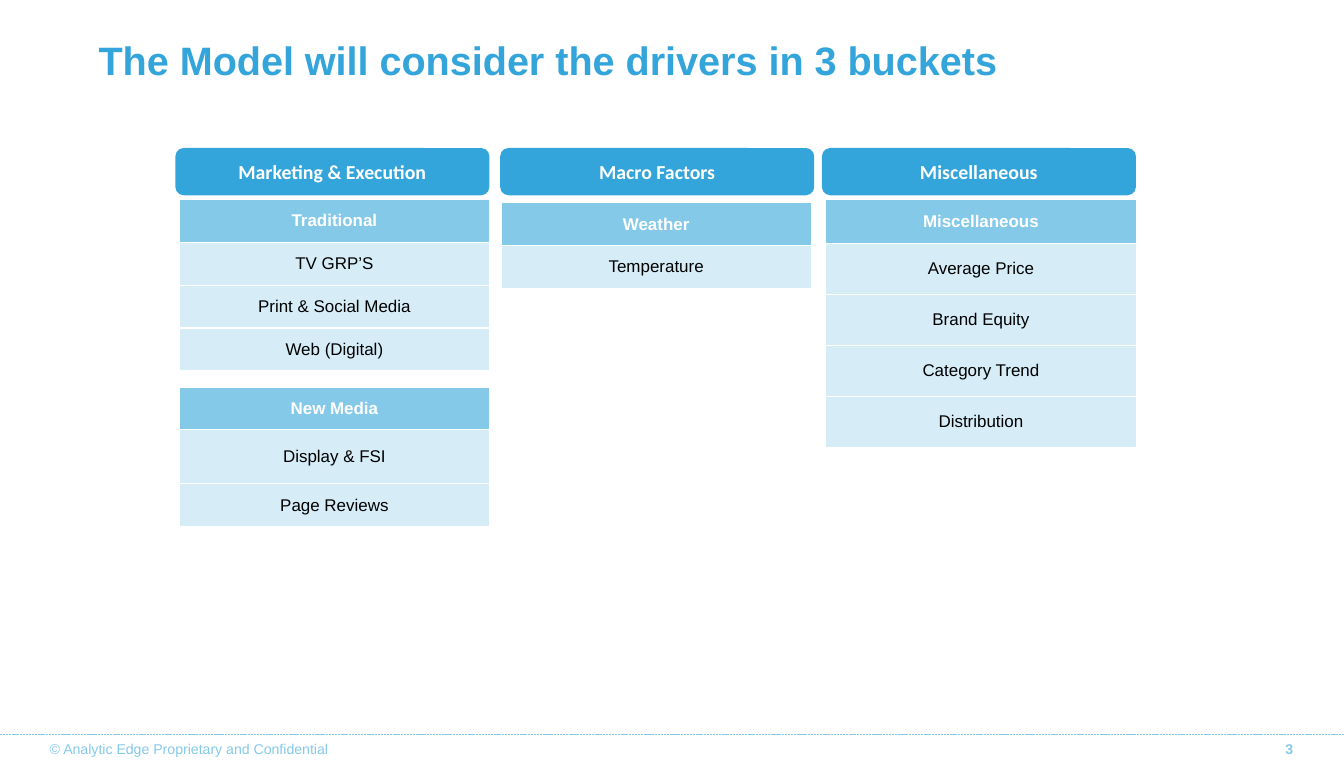
from dataclasses import dataclass

from lxml import etree
from pptx import Presentation
from pptx import util as u
from pptx.dml.color import RGBColor
from pptx.enum import dml, shapes, text
from pptx.oxml import ns

# The grid has 132 columns and 75 rows, each a tenth of an inch.
GRID_COLUMNS, GRID_ROWS = 132, 75
UNIT = u.Inches(0.1)


@dataclass(frozen=True)
class Theme:
    strong: str = "34A5DA"
    medium: str = "85C9E9"
    pale: str = "D6EDF8"
    white: str = "FFFFFF"
    black: str = "000000"
    body_font: str = "Arial"
    bucket_font: str = "Calibri"
    title_size: int = 28
    bucket_size: int = 14
    driver_size: int = 12
    footer_size: int = 10


@dataclass(frozen=True)
class Area:
    column: float
    row: float
    columns: float
    rows: float

    def lengths(self) -> tuple[int, ...]:
        return tuple(grid(n) for n in (self.column, self.row, self.columns, self.rows))


@dataclass(frozen=True)
class Style:
    size: int
    color: str
    bold: bool = False
    font: str = "Arial"
    align: text.PP_ALIGN = text.PP_ALIGN.CENTER


@dataclass(frozen=True)
class Label:
    wording: str
    area: Area
    style: Style


@dataclass(frozen=True)
class Bucket:
    name: str
    column: float


@dataclass(frozen=True)
class DriverGroup:
    drivers: tuple[str, ...]  # the heading comes first
    column: float
    row: float
    heights: tuple[float, ...]


THEME = Theme()
LEFT, RIGHT = text.PP_ALIGN.LEFT, text.PP_ALIGN.RIGHT
BUCKET_ROW, BUCKET_COLUMNS, BUCKET_ROWS = 14.6, 30.7, 4.5
GROUP_COLUMNS = 30.5
FOOTER_ROW, FOOTER_ROWS, RULE_ROW = 72.4, 2.2, 72.1

BUCKET_STYLE = Style(THEME.bucket_size, THEME.white, True, THEME.bucket_font)
HEADING_STYLE = Style(THEME.driver_size, THEME.white, True, THEME.body_font)
DRIVER_STYLE = Style(THEME.driver_size, THEME.black, False, THEME.body_font)

LABELS = (
    Label("3", Area(117.5, FOOTER_ROW, 10.5, FOOTER_ROWS),
          Style(THEME.footer_size, THEME.medium, True, THEME.body_font, RIGHT)),
    Label("© Analytic Edge Proprietary and Confidential",
          Area(3.9, FOOTER_ROW, 81.1, FOOTER_ROWS),
          Style(THEME.footer_size, THEME.medium, False, THEME.body_font, LEFT)),
    Label("The Model will consider the drivers in 3 buckets",
          Area(8.7, 1.6, 110.6, 8.6),
          Style(THEME.title_size, THEME.strong, True, THEME.body_font, LEFT)),
)
BUCKETS = (
    Bucket("Marketing & Execution", 17.3),
    Bucket("Macro Factors", 49.2),
    Bucket("Miscellaneous", 80.8),
)
GROUPS = (
    DriverGroup(("Traditional", "TV GRP’S", "Print & Social Media", "Web (Digital)"),
                17.6, 19.6, (4.2,) * 4),
    DriverGroup(("New Media", "Display & FSI", "Page Reviews"),
                17.6, 38, (4.2, 5.3, 4.2)),
    DriverGroup(("Weather", "Temperature"), 49.2, 19.9, (4.2,) * 2),
    DriverGroup(("Miscellaneous", "Average Price", "Brand Equity", "Category Trend",
                 "Distribution"), 81.1, 19.6, (4.3,) + (5,) * 4),
)


def grid(count: float) -> int:
    """Turn a number of grid columns or rows into a length."""
    return round(count * UNIT)


def rgb(color: str) -> RGBColor:
    return RGBColor.from_string(color)


def write(frame, wording: str, style: Style) -> None:
    frame.text = wording
    frame.word_wrap = True
    paragraph = frame.paragraphs[0]
    paragraph.alignment = style.align
    for run in paragraph.runs:
        run.font.name = style.font
        run.font.size = u.Pt(style.size)
        run.font.bold = style.bold
        run.font.color.rgb = rgb(style.color)


def draw_label(slide, label: Label) -> None:
    frame = slide.shapes.add_textbox(*label.area.lengths()).text_frame
    frame.vertical_anchor = text.MSO_ANCHOR.MIDDLE
    write(frame, label.wording, label.style)


def draw_footer_rule(slide) -> None:
    rule = slide.shapes.add_connector(
        shapes.MSO_CONNECTOR.STRAIGHT,
        0, grid(RULE_ROW), grid(GRID_COLUMNS), grid(RULE_ROW))
    rule.line.color.rgb = rgb(THEME.medium)
    rule.line.width = u.Pt(0.5)
    rule.line.dash_style = dml.MSO_LINE.SQUARE_DOT
    etree.SubElement(rule._element.spPr, ns.qn("a:effectLst"))


def draw_bucket(slide, bucket: Bucket) -> None:
    area = Area(bucket.column, BUCKET_ROW, BUCKET_COLUMNS, BUCKET_ROWS)
    box = slide.shapes.add_shape(
        shapes.MSO_SHAPE.ROUNDED_RECTANGLE, *area.lengths())
    box.shadow.inherit = False
    box.fill.solid()
    box.fill.fore_color.rgb = rgb(THEME.strong)
    box.line.color.rgb = rgb(THEME.strong)
    box.line.width = u.Pt(1)
    box.text_frame.vertical_anchor = text.MSO_ANCHOR.MIDDLE
    write(box.text_frame, bucket.name, BUCKET_STYLE)


def add_borders(cell) -> None:
    """Draw white lines on the right, top and bottom edges of a cell."""
    properties = cell._tc.get_or_add_tcPr()
    for edge in ("a:lnR", "a:lnT", "a:lnB"):
        line = etree.SubElement(properties, ns.qn(edge), w=str(u.Pt(1)))
        fill = etree.SubElement(line, ns.qn("a:solidFill"))
        etree.SubElement(fill, ns.qn("a:srgbClr"), val=THEME.white)


def draw_group(slide, group: DriverGroup) -> None:
    area = Area(group.column, group.row, GROUP_COLUMNS, sum(group.heights))
    table = slide.shapes.add_table(len(group.drivers), 1, *area.lengths()).table
    table.horz_banding = False
    for index, (driver, height) in enumerate(zip(group.drivers, group.heights)):
        is_heading = index == 0
        table.rows[index].height = grid(height)
        cell = table.cell(index, 0)
        cell.vertical_anchor = text.MSO_ANCHOR.MIDDLE
        add_borders(cell)
        cell.fill.solid()
        cell.fill.fore_color.rgb = rgb(THEME.medium if is_heading else THEME.pale)
        write(cell.text_frame, driver, HEADING_STYLE if is_heading else DRIVER_STYLE)


def main() -> None:
    deck = Presentation()
    deck.slide_width, deck.slide_height = grid(GRID_COLUMNS), grid(GRID_ROWS)
    slide = deck.slides.add_slide(deck.slide_layouts[6])
    draw_footer_rule(slide)
    for label in LABELS:
        draw_label(slide, label)
    for bucket in BUCKETS:
        draw_bucket(slide, bucket)
    for group in GROUPS:
        draw_group(slide, group)
    deck.save("out.pptx")


if __name__ == "__main__":
    main()
